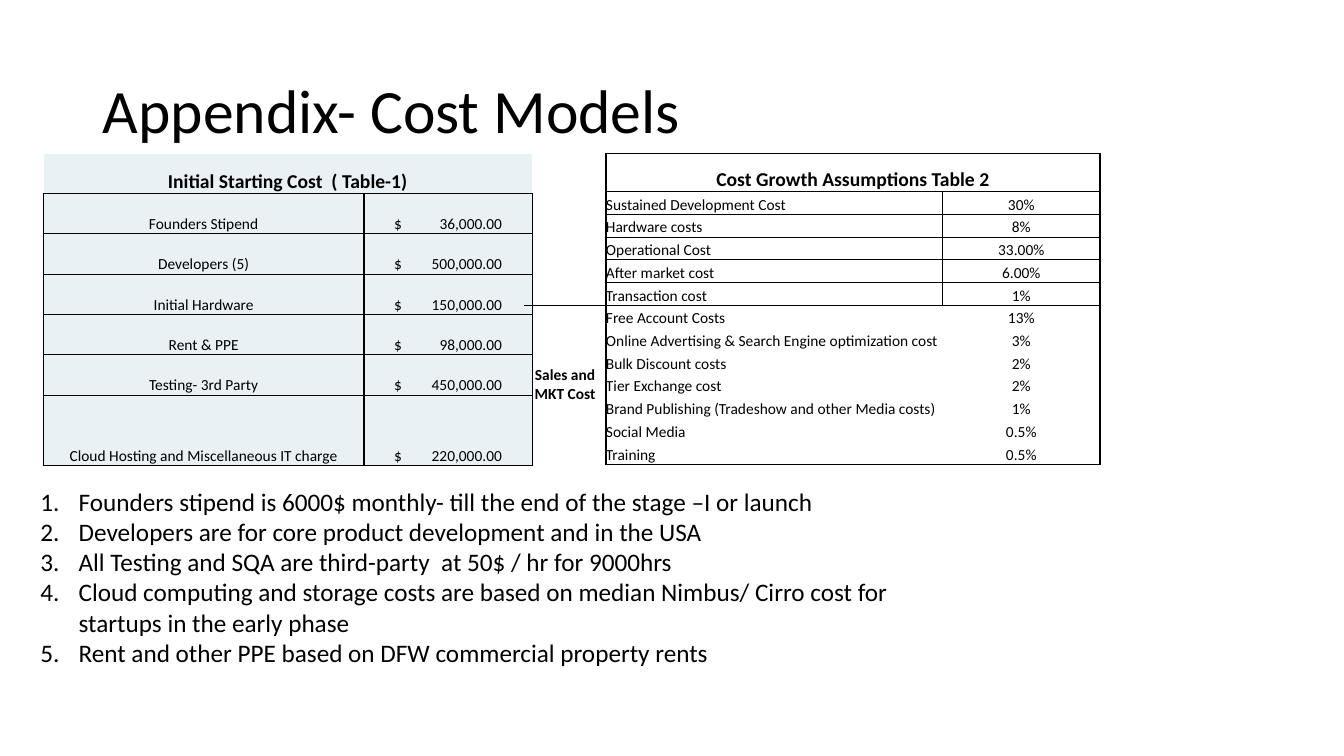
from lxml.etree import SubElement
from pptx import Presentation
from pptx.dml.color import RGBColor
from pptx.enum.text import MSO_ANCHOR as Anchor, MSO_AUTO_SIZE as AutoSize, PP_ALIGN as Align
from pptx.oxml import parse_xml
from pptx.oxml.ns import nsdecls, qn
from pptx.util import Inches, Pt

FONT, BLACK, WHITE, PALE = "Calibri", "000000", "FFFFFF", "E9F1F5"

START_TITLE = "Initial Starting Cost  ( Table-1)"
START_COSTS = [
    ("Founders Stipend", "36,000.00"),
    ("Developers (5)", "500,000.00"),
    ("Initial Hardware", "150,000.00"),
    ("Rent & PPE", "98,000.00"),
    ("Testing- 3rd Party", "450,000.00"),
    ("Cloud Hosting and Miscellaneous IT charge", "220,000.00"),
]

GROWTH_TITLE = "Cost Growth Assumptions Table 2"
MAIN_RATES = [
    ("Sustained Development Cost", "30%"),
    ("Hardware costs", "8%"),
    ("Operational Cost", "33.00%"),
    ("After market cost", "6.00%"),
    ("Transaction cost", "1%"),
]
SALES_RATES = [
    ("Free Account Costs", "13%"),
    ("Online Advertising & Search Engine optimization cost", "3%"),
    ("Bulk Discount costs", "2%"),
    ("Tier Exchange cost", "2%"),
    ("Brand Publishing (Tradeshow and other Media costs)", "1%"),
    ("Social Media", "0.5%"),
    ("Training", "0.5%"),
]

NOTES = [
    "Founders stipend is 6000$ monthly- till the end of the stage –I or launch",
    "Developers are for core product development and in the USA",
    "All Testing and SQA are third-party  at 50$ / hr for 9000hrs",
    "Cloud computing and storage costs are based on median Nimbus/ Cirro cost for "
    "startups in the early phase",
    "Rent and other PPE based on DFW commercial property rents",
]


def rgb(color):
    return RGBColor.from_string(color)


def set_font(p, size, bold=False):
    f = p.font
    f.name, f.size, f.bold = FONT, Pt(size), bold
    f.color.rgb = rgb(BLACK)


def place(sp, box):
    sp.left, sp.top, sp.width, sp.height = (Inches(v) for v in box)


def set_borders(cell, left=0, right=0, top=0, bottom=0, edge=BLACK):
    """Widths are in points; zero means no line. The bottom line is always black."""
    tc_pr = cell._tc.get_or_add_tcPr()
    sides = [("L", left, edge), ("R", right, edge), ("T", top, edge), ("B", bottom, BLACK)]
    for i, (side, width, color) in enumerate(sides):
        paint = (f'<a:solidFill><a:srgbClr val="{color}"/></a:solidFill>'
                 if width else "<a:noFill/>")
        tc_pr.insert(i, parse_xml(
            f'<a:ln{side} {nsdecls("a")} w="{Pt(width)}">{paint}</a:ln{side}>'))


def fill_cell(cell, text="", size=11, bold=False, align=Align.CENTER,
              anchor=Anchor.BOTTOM, fill=None, tab=None):
    cell.margin_left = cell.margin_right = cell.margin_top = cell.margin_bottom = 0
    cell.vertical_anchor = anchor
    if fill:
        cell.fill.solid()
        cell.fill.fore_color.rgb = rgb(fill)
    else:
        cell.fill.background()
    p = cell.text_frame.paragraphs[0]
    p.alignment = align
    if tab:
        tabs = SubElement(p._p.get_or_add_pPr(), qn("a:tabLst"))
        SubElement(tabs, qn("a:tab"), pos=str(Inches(tab)), algn="r")
    if text:
        p.text = text
        set_font(p, size, bold)
    else:
        # Small empty cells keep their rows low
        SubElement(p._p, qn("a:endParaRPr"), sz=str(size * 100))


def add_plain_table(slide, box, cols, rows):
    x, y, w, h = (Inches(v) for v in box)
    table = slide.shapes.add_table(len(rows), len(cols), x, y, w, h).table
    table.first_row = table.horz_banding = False
    for col, width in zip(table.columns, cols):
        col.width = Inches(width)
    for row, height in zip(table.rows, rows):
        row.height = Inches(height)
    return table


def add_title(slide, box, text):
    sp = slide.shapes.title
    place(sp, box)
    tf = sp.text_frame
    tf.vertical_anchor = Anchor.MIDDLE
    p = tf.paragraphs[0]
    p.text, p.alignment, p.line_spacing = text, Align.LEFT, 0.9
    set_font(p, 44)


def add_start_costs(slide, box):
    label_w, row_h = 3.18, 0.4
    n = len(START_COSTS)
    table = add_plain_table(slide, box, [label_w, box[2] - label_w],
                            [row_h] * n + [box[3] - n * row_h])
    # Header
    head = table.cell(0, 0)
    head.merge(table.cell(0, 1))
    fill_cell(head, START_TITLE, 14, True, fill=PALE)
    fill_cell(table.cell(0, 1), fill=PALE)
    for c in range(2):
        set_borders(table.cell(0, c), 1, 1, 1, 1, edge=WHITE)
    # Items, with the amounts on a right tab
    for r, (label, amount) in enumerate(START_COSTS, 1):
        fill_cell(table.cell(r, 0), label, fill=PALE)
        cell = table.cell(r, 1)
        fill_cell(cell, f"$\t{amount}", align=Align.LEFT, fill=PALE, tab=1.07)
        cell.margin_left = Inches(0.3)
        for c in range(2):
            set_borders(table.cell(r, c), 1, 1, 1, 1)


def add_growth_rates(slide, box):
    side_w, rate_w, head_h = 0.81, 1.56, 0.38
    rates = MAIN_RATES + SALES_RATES
    split, last = len(MAIN_RATES), len(rates)
    table = add_plain_table(slide, box, [side_w, box[2] - side_w - rate_w, rate_w],
                            [head_h] + [(box[3] - head_h) / last] * last)
    # Header
    head = table.cell(0, 1)
    head.merge(table.cell(0, 2))
    fill_cell(head, GROWTH_TITLE, 14, True)
    fill_cell(table.cell(0, 2))
    for c in (1, 2):
        set_borders(table.cell(0, c), 1, 1, 1, 1)
    # Side column with the sales group label
    group = table.cell(split + 1, 0)
    group.merge(table.cell(last, 0))
    for r in range(last + 1):
        cell = table.cell(r, 0)
        if r == split + 1:
            fill_cell(cell, "Sales and MKT Cost", bold=True, anchor=Anchor.MIDDLE)
        else:
            fill_cell(cell)
        set_borders(cell, right=1, top=0.5 if r == split + 1 else 0,
                    bottom=0.5 if r == split else 0)
    # Rates: ruled in the main group, open in the sales group
    for r, (label, rate) in enumerate(rates, 1):
        inner = 0.5 if r <= split else 0
        top = 1 if r in (1, split + 1) else inner
        bottom = 1 if r in (split, last) else inner
        fill_cell(table.cell(r, 1), label, align=Align.LEFT)
        fill_cell(table.cell(r, 2), rate)
        set_borders(table.cell(r, 1), 1, inner, top, bottom)
        set_borders(table.cell(r, 2), inner, 1, top, bottom)


def add_notes_list(slide, box):
    sp = slide.placeholders[1]
    place(sp, box)
    tf = sp.text_frame
    tf.word_wrap, tf.auto_size = True, AutoSize.NONE
    tf.vertical_anchor = Anchor.TOP
    indent = Inches(0.38)
    for i, note in enumerate(NOTES):
        p = tf.add_paragraph() if i else tf.paragraphs[0]
        p.text, p.alignment = note, Align.LEFT
        p.space_before = Pt(0)
        p_pr = p._p.get_or_add_pPr()
        p_pr.set("marL", str(indent))
        p_pr.set("indent", str(-indent))
        SubElement(p_pr, qn("a:buFont"), typeface="+mj-lt")
        SubElement(p_pr, qn("a:buAutoNum"), type="arabicPeriod")
        set_font(p, 18)


def main():
    prs = Presentation()
    prs.slide_width, prs.slide_height = Inches(13.33), Inches(7.5)
    slide = prs.slides.add_slide(prs.slide_layouts[1])
    add_title(slide, (0.92, 0.4, 11.5, 1.45), "Appendix- Cost Models")
    add_start_costs(slide, (0.43, 1.52, 4.85, 3.1))
    add_growth_rates(slide, (5.2, 1.52, 5.71, 3.09))
    add_notes_list(slide, (0.3, 4.77, 9.17, 1.92))
    prs.save("out.pptx")


if __name__ == "__main__":
    main()
